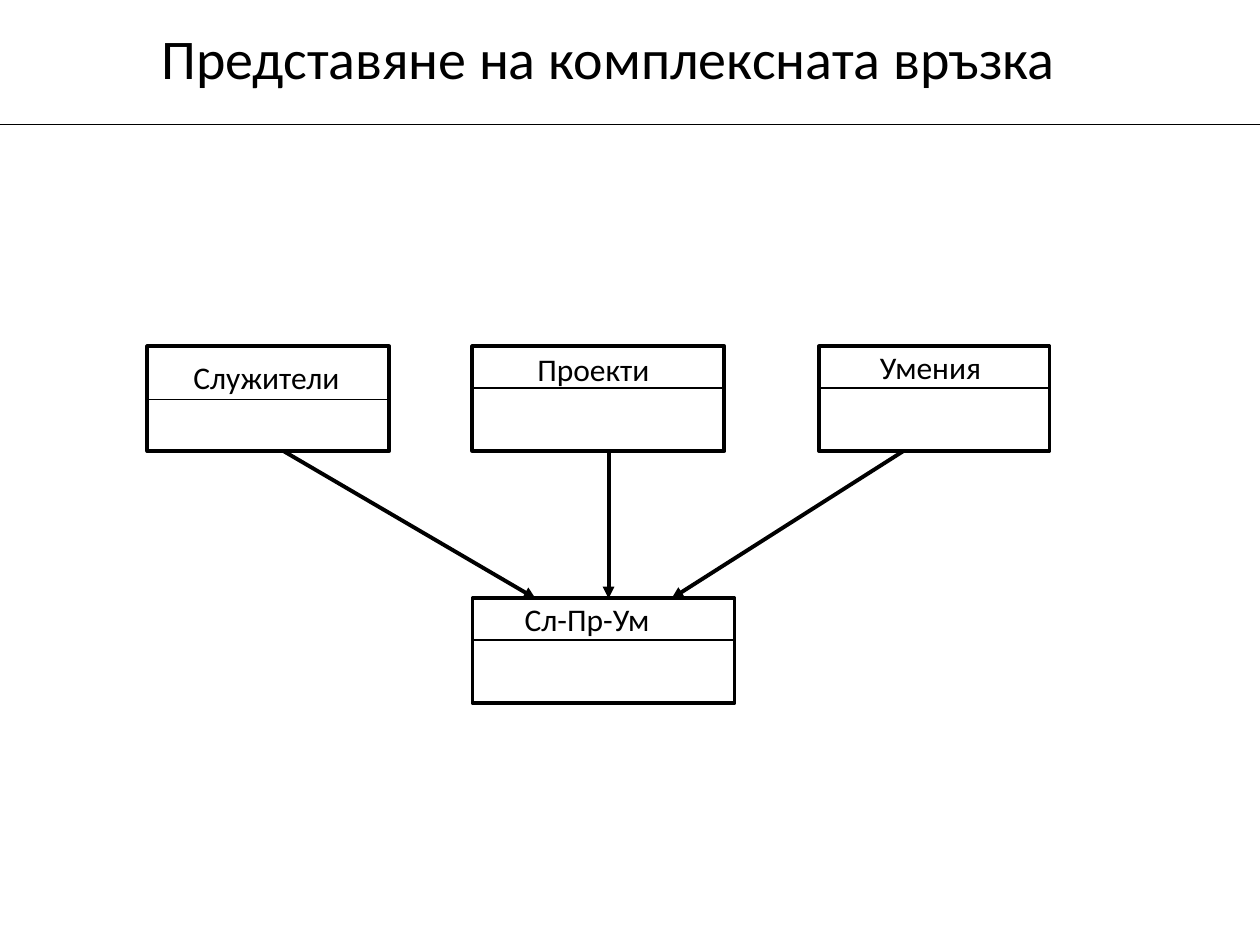
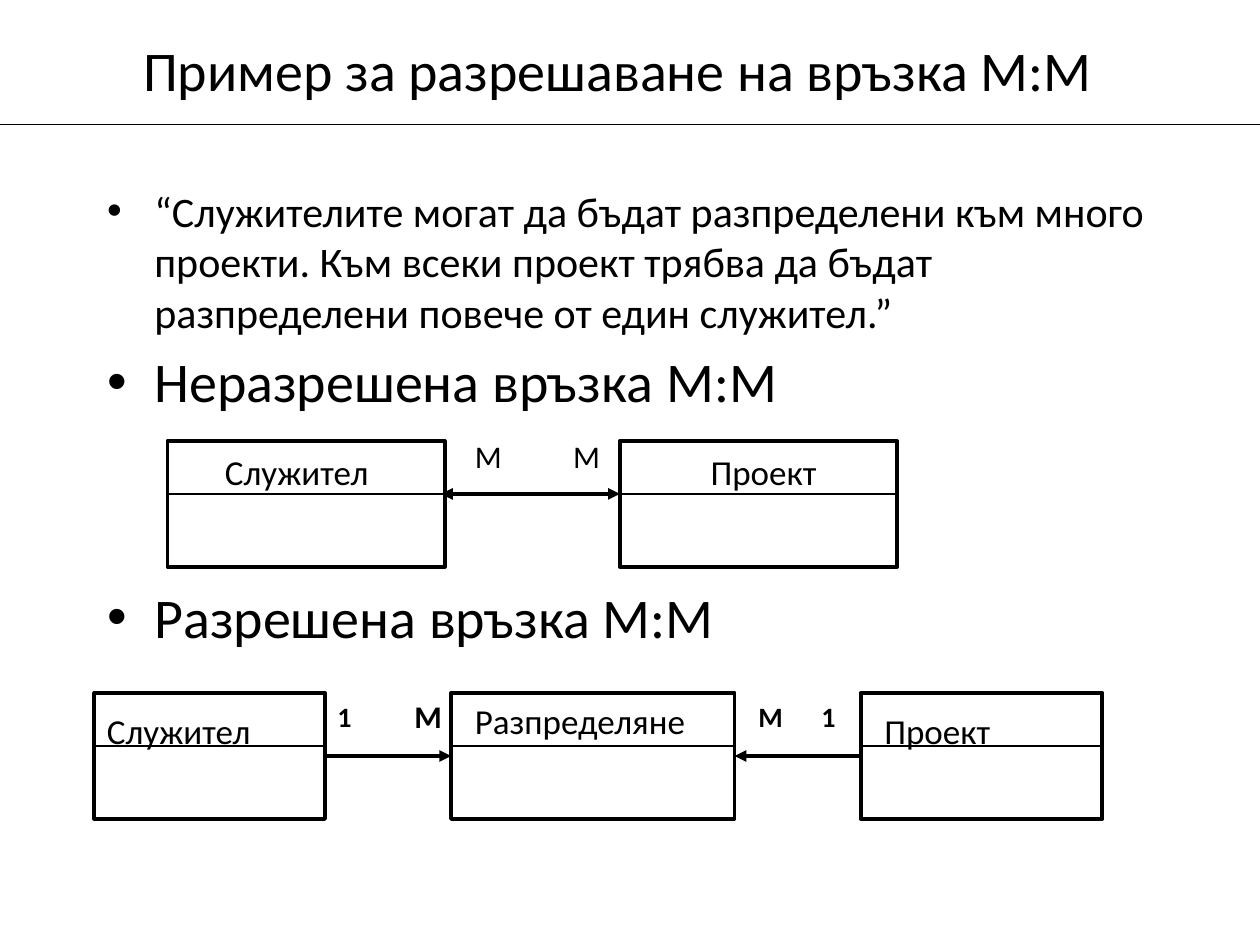
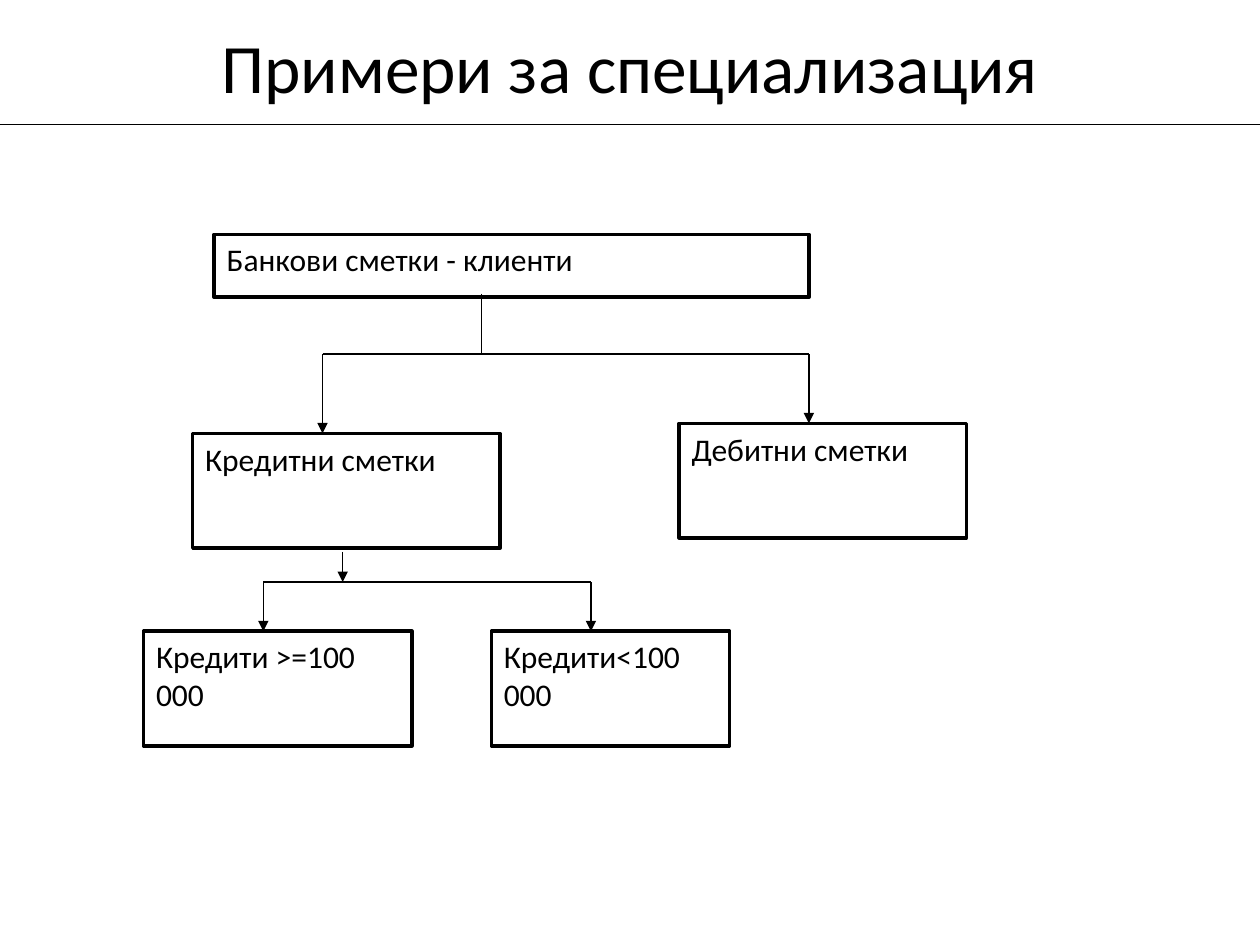
from lxml import etree
from pptx import Presentation
from pptx.dml.color import RGBColor
from pptx.enum.shapes import MSO_CONNECTOR, MSO_SHAPE
from pptx.enum.text import MSO_ANCHOR, MSO_AUTO_SIZE, PP_ALIGN
from pptx.oxml.ns import qn
from pptx.util import Inches, Pt

BLACK = RGBColor(0, 0, 0)
WHITE = RGBColor(255, 255, 255)
FONT = "Calibri"
THIN, THICK, FRAME = 0.75, 2.25, 2
TITLE_AND_CONTENT, TITLE_ONLY = 1, 5
CENTER, LEFT = PP_ALIGN.CENTER, PP_ALIGN.LEFT


def inches(*lengths):
    return [Inches(length) for length in lengths]


def write(frame, text, size=18, bold=False, align=LEFT, wrap=True,
          anchor=MSO_ANCHOR.TOP, before=()):
    frame.auto_size = MSO_AUTO_SIZE.NONE
    frame.word_wrap = wrap
    frame.vertical_anchor = anchor
    frame.text = text
    sizes = size if isinstance(size, tuple) else (size,)
    for paragraph, points in zip(frame.paragraphs, sizes):
        paragraph.alignment = align
        font = paragraph.runs[0].font
        font.name, font.size, font.bold = FONT, Pt(points), bold
        font.color.rgb = BLACK
    for paragraph, gap in zip(frame.paragraphs, before):
        paragraph.space_before = Pt(gap)


def add_label(slide, box, text, **style):
    write(slide.shapes.add_textbox(*inches(*box)).text_frame, text, **style)


def add_line(slide, start, end, weight=THIN, head=False, tail=False):
    line = slide.shapes.add_connector(MSO_CONNECTOR.STRAIGHT, *inches(*start, *end))
    line.line.color.rgb = BLACK
    line.line.width = Pt(weight)
    outline = line.line._get_or_add_ln()
    for end_tag, wanted in (("a:headEnd", head), ("a:tailEnd", tail)):
        if wanted:
            etree.SubElement(outline, qn(end_tag), type="triangle")
    etree.SubElement(line._element.spPr, qn("a:effectLst"))


def add_box(slide, box, weight, fill=None):
    rect = slide.shapes.add_shape(MSO_SHAPE.RECTANGLE, *inches(*box))
    rect.shadow.inherit = False
    if fill is None:
        rect.fill.background()
    else:
        rect.fill.solid()
        rect.fill.fore_color.rgb = fill
    rect.line.color.rgb = BLACK
    rect.line.width = Pt(weight)
    return rect


def add_slide(deck, layout, title, title_box, size=32):
    slide = deck.slides.add_slide(deck.slide_layouts[layout])
    add_line(slide, (0, 0.99), (10, 0.99))
    heading = slide.shapes.title
    heading.left, heading.top, heading.width, heading.height = inches(*title_box)
    write(heading.text_frame, title, size=size, align=CENTER, anchor=MSO_ANCHOR.MIDDLE)
    return slide


def add_entity(slide, box, name, name_offset, divider, **style):
    left, top, width, _ = box
    dx, dy, name_width, name_height = name_offset
    add_box(slide, box, THICK)
    add_label(slide, (left + dx, top + dy, name_width, name_height), name, **style)
    add_line(slide, (left, top + divider), (left + width, top + divider))


def add_fork(slide, stem_start, bar_y, prongs, stem_arrow=False):
    stem_x = stem_start[0]
    add_line(slide, stem_start, (stem_x, bar_y), tail=stem_arrow)
    add_line(slide, (prongs[0][0], bar_y), (prongs[-1][0], bar_y))
    for x, y in prongs:
        add_line(slide, (x, bar_y), (x, y), tail=True)


def add_complex_relation(slide, left, top):
    height, link_top = 0.83, 2
    entities = [
        ("Служители", 0, 0, 1.92, (0.26, 0.04, 1.37, 0.4), 0.42),
        ("Проекти", 2.58, 0, 2, (0.41, -0.02, 1.1, 0.4), 0.33),
        ("Умения", 5.33, 0, 1.83, (0.38, -0.04, 1.01, 0.4), 0.33),
        ("Сл-Пр-Ум", 2.58, link_top, 2.08, (0.31, -0.04, 1.2, 0.4), 0.33),
    ]
    for name, dx, dy, width, offset, divider in entities:
        add_entity(slide, (left + dx, top + dy, width, height), name, offset,
                   divider, align=CENTER, wrap=False)
    for start, end in ((1.08, 3.08), (3.66, 3.66), (6, 4.16)):
        add_line(slide, (left + start, top + height), (left + end, top + link_top),
                 THICK, tail=True)


def add_unresolved(slide, left, top):
    width, height, divider, second = 2.2, 1, 0.42, 3.59
    add_entity(slide, (left, top, width, height), "Служител",
               (0.35, 0.03, 1.35, 0.44), divider, size=20, align=CENTER, wrap=False)
    add_entity(slide, (left + second, top, width, height), "Проект",
               (0.39, 0.03, 1.5, 0.43), divider, size=20, align=CENTER)
    add_line(slide, (left + 2.17, top + divider), (left + second, top + divider),
             THICK, head=True, tail=True)
    for dx in (2.34, 3.12):
        add_label(slide, (left + dx, top - 0.08, 0.35, 0.5), "М")


def add_resolved(slide, left, top):
    entities = [
        ("Служител", 0, 1.83, (0, 0.08, 1.75, 0.43)),
        ("Разпределяне", 2.83, 2.25, (0.09, 0, 2.08, 0.43)),
        ("Проект", 6.08, 1.92, (0.09, 0.08, 1.5, 0.43)),
    ]
    for name, dx, width, offset in entities:
        add_entity(slide, (left + dx, top, width, 1), name, offset, 0.42, size=20)
    for start, end in ((1.83, 2.83), (6.08, 5.08)):
        add_line(slide, (left + start, top + 0.5), (left + end, top + 0.5),
                 THICK, tail=True)
    marks = [("1", 1.83, 0, 0.37, 16), ("М", 2.44, -0.02, 0.47, 18),
             ("М", 5.17, 0, 0.42, 16), ("1", 5.67, 0, 0.32, 16)]
    for mark, dx, dy, width, size in marks:
        add_label(slide, (left + dx, top + dy, width, 0.4), mark, size=size, bold=True)


def add_statements(slide, box):
    body = slide.placeholders[1]
    body.left, body.top, body.width, body.height = inches(*box)
    statements = [
        "“Служителите могат да бъдат разпределени към много проекти. "
        "Към всеки проект трябва да бъдат разпределени повече от един служител.”",
        "Неразрешена връзка М:M",
        "Разрешена връзка М:M",
    ]
    write(body.text_frame, "\n".join(statements), size=(24, 32, 32), before=(5, 6, 96))


def add_account_tree(slide, left, top):
    accounts = [
        ("Банкови сметки - клиенти", 0.56, 0, 4.72, 0.5),
        ("Кредитни сметки", 0.39, 1.58, 2.44, 0.91),
        ("Дебитни сметки", 4.25, 1.5, 2.28, 0.91),
        ("Кредити >=100 000", 0, 3.15, 2.13, 0.91),
        ("Кредити<100 000", 2.76, 3.15, 1.89, 0.91),
    ]
    for name, dx, dy, width, height in accounts:
        account = add_box(slide, (left + dx, top + dy, width, height), FRAME, WHITE)
        write(account.text_frame, name)
    add_fork(slide, (left + 2.68, top + 0.47), top + 0.95,
             [(left + 1.42, top + 1.58), (left + 5.28, top + 1.5)])
    add_fork(slide, (left + 1.58, top + 2.52), top + 2.76,
             [(left + 0.95, top + 3.15), (left + 3.55, top + 3.15)], stem_arrow=True)


deck = Presentation()
deck.slide_width, deck.slide_height = inches(10, 7.5)

complex_relation = add_slide(deck, TITLE_ONLY, "Представяне на комплексната връзка",
                             (0.57, 0.04, 8.52, 0.83))
add_complex_relation(complex_relation, 1.17, 2.75)

many_to_many = add_slide(deck, TITLE_AND_CONTENT, "Пример за разрешаване на връзка М:М",
                         (0.56, 0.21, 8.69, 0.67))
add_statements(many_to_many, (0.75, 1.42, 8.5, 5.33))
add_unresolved(many_to_many, 1.33, 3.5)
add_resolved(many_to_many, 0.75, 5.5)

specialization = add_slide(deck, TITLE_ONLY, "Примери за специализация",
                           (0.5, 0.22, 9, 0.61), size=39.6)
add_account_tree(specialization, 1.14, 1.86)

deck.save("out.pptx")
